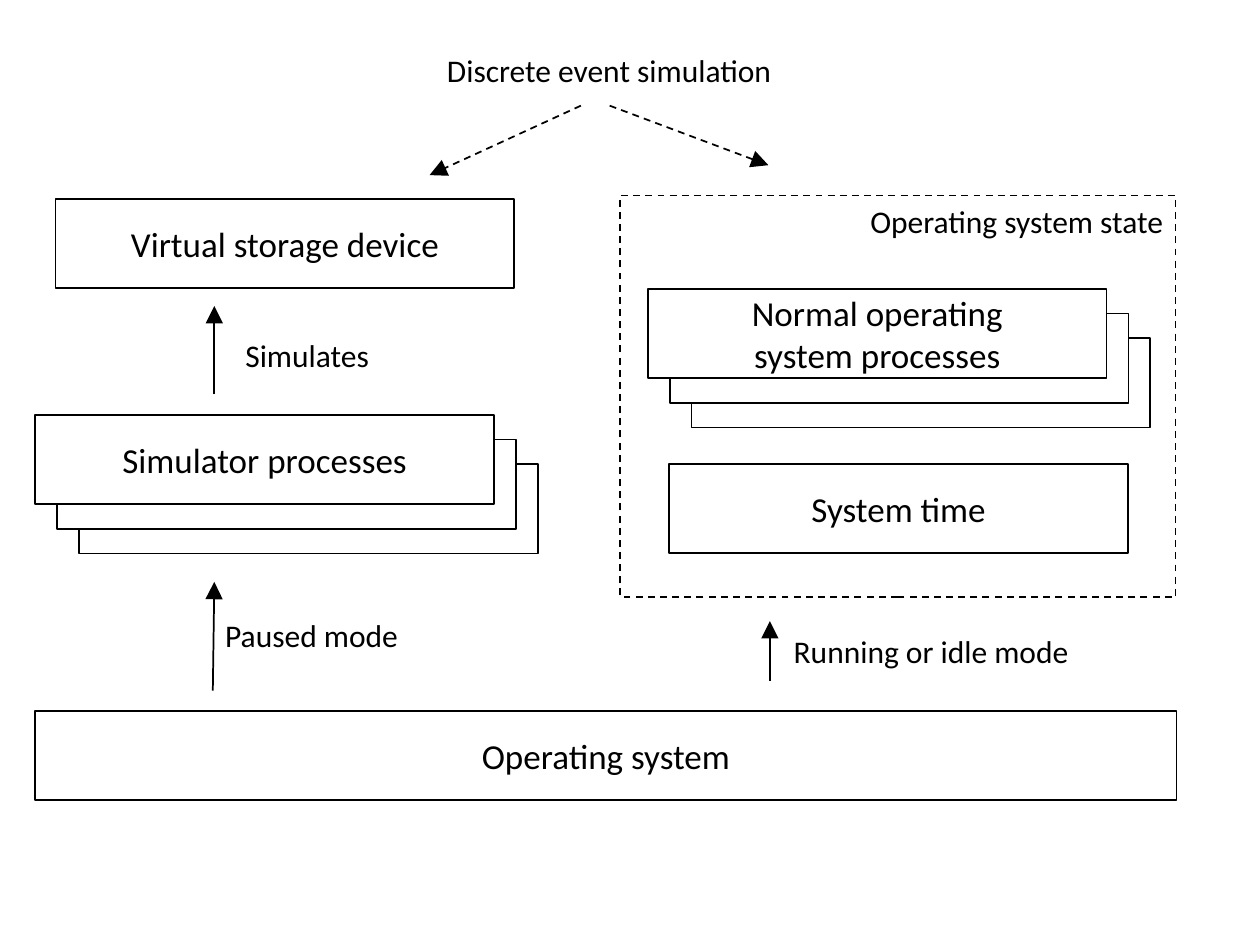
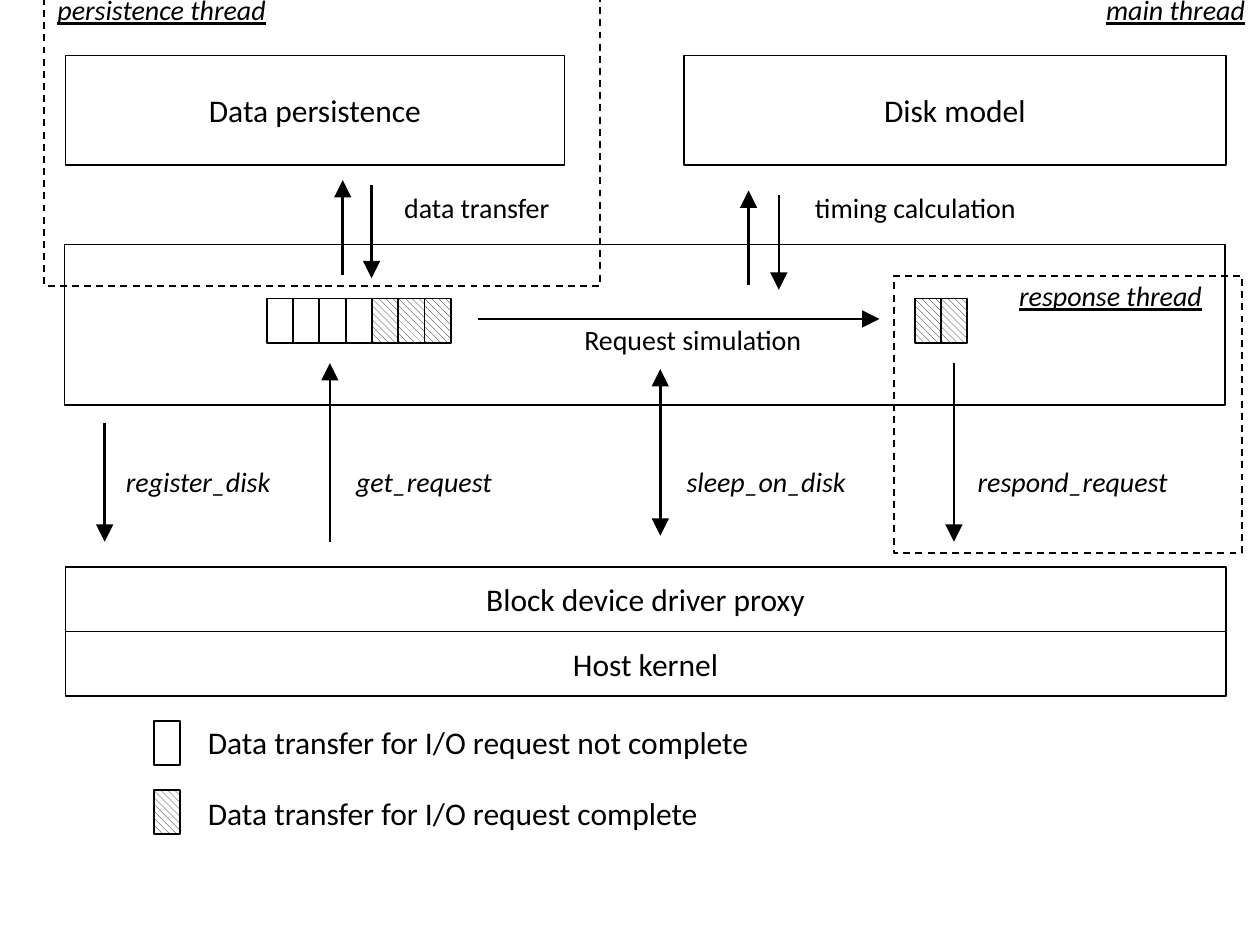
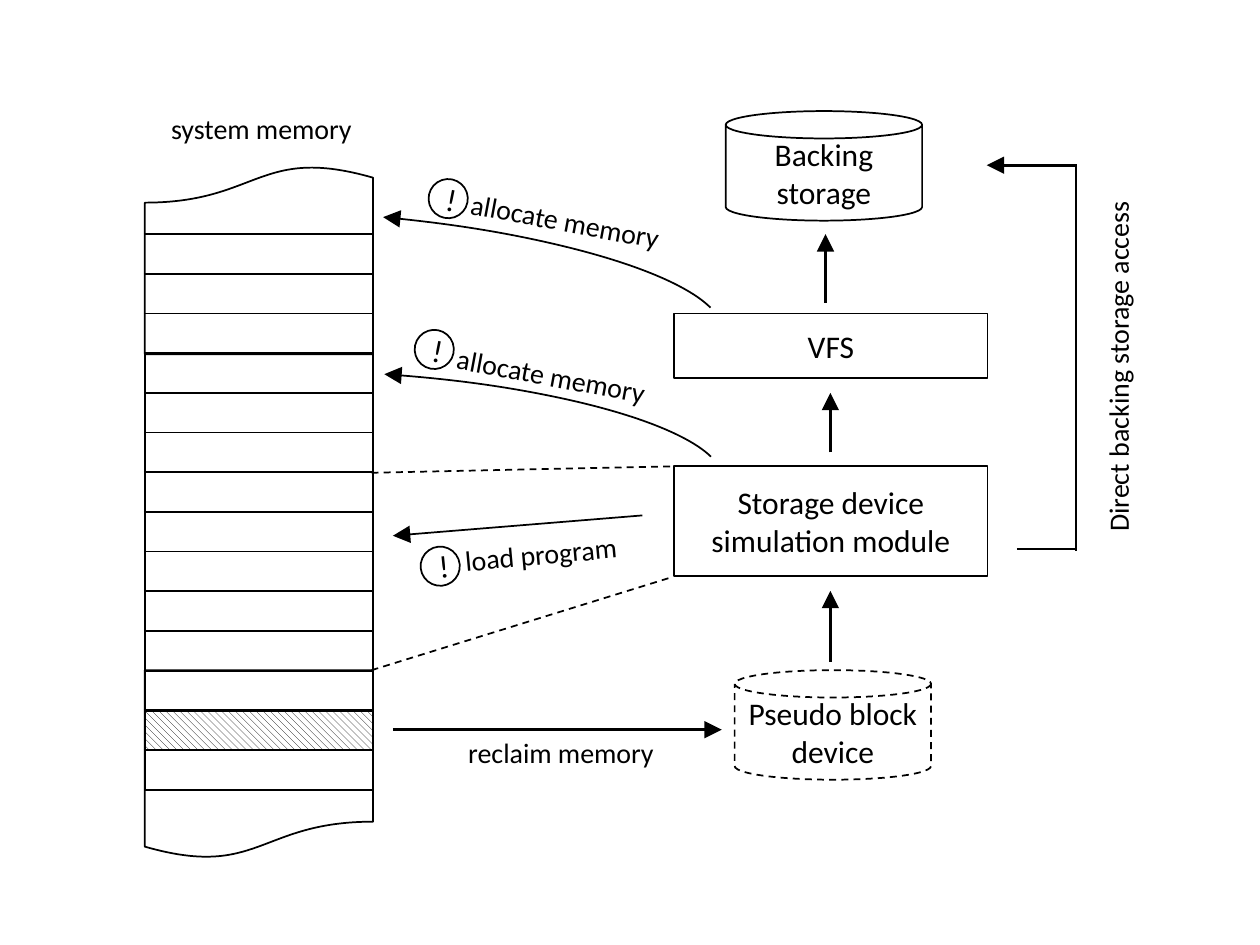
from lxml import etree
from pptx import Presentation
from pptx import util as u
from pptx.dml.color import RGBColor
from pptx.enum import dml, shapes, text
from pptx.oxml import ns

BLACK = RGBColor(0, 0, 0)
WHITE = RGBColor(255, 255, 255)
FONT = "Calibri"
RECT = shapes.MSO_SHAPE.RECTANGLE
CAN = shapes.MSO_SHAPE.CAN
WAVY_PAGE = shapes.MSO_SHAPE.FLOWCHART_DOCUMENT
LEFT, CENTER, RIGHT = text.PP_ALIGN.LEFT, text.PP_ALIGN.CENTER, text.PP_ALIGN.RIGHT


def stroke(item, weight=1, dashed=False, ends=()):
    item.line.color.rgb = BLACK
    item.line.width = u.Pt(weight)
    if dashed:
        item.line.dash_style = dml.MSO_LINE.DASH
    properties = item.element.spPr
    for end in ends:
        etree.SubElement(properties.find(ns.qn("a:ln")), ns.qn(f"a:{end}End"),
                         type="triangle", w="lg", len="lg")
    etree.SubElement(properties, ns.qn("a:effectLst"))


def write(slide, words, box, preset=None, size=18, align=LEFT, italic=False, underline=False,
          wrap=False, fill=None, dashed=False, rotation=0, ends=()):
    place = [u.Cm(length) for length in box]
    if preset is None:
        item = slide.shapes.add_textbox(*place)
    else:
        item = slide.shapes.add_shape(preset, *place)
        stroke(item, dashed=dashed, ends=ends)
        if fill == "hatch":
            item.fill.patterned()
            item.fill.pattern = dml.MSO_PATTERN.WIDE_DOWNWARD_DIAGONAL
            item.fill.fore_color.rgb = BLACK
            item.fill.back_color.rgb = WHITE
        elif fill is not None:
            item.fill.solid()
            item.fill.fore_color.rgb = fill
        else:
            item.fill.background()
        align, wrap = CENTER, True
        item.text_frame.vertical_anchor = text.MSO_ANCHOR.MIDDLE
    item.rotation = rotation
    item.text_frame.word_wrap = wrap
    if words:
        paragraph = item.text_frame.paragraphs[0]
        paragraph.text = words
        paragraph.alignment = align
        for run in paragraph.runs:
            run.font.name = FONT
            run.font.size = u.Pt(size)
            run.font.color.rgb = BLACK
            run.font.italic = italic or None
            run.font.underline = underline or None
    return item


deck = Presentation()
deck.slide_width, deck.slide_height = u.Cm(25.4), u.Cm(19.05)
blank = deck.slide_layouts[6]
STRAIGHT = shapes.MSO_CONNECTOR.STRAIGHT

overview = deck.slides.add_slide(blank)
BOX_W, BOX_H = 9.25, 1.8

write(overview, "System time", (13.49, 9.35, BOX_W, BOX_H), RECT, size=20)
for words, left, top in [("Normal operating\vsystem processes", 13.06, 5.82),
                         ("Simulator processes", 0.71, 8.36)]:
    for depth in (2, 1, 0):
        write(overview, "" if depth else words,
              (left + 0.44 * depth, top + 0.5 * depth, BOX_W, BOX_H), RECT, size=20, fill=WHITE)
write(overview, "Virtual storage device", (1.12, 4.01, BOX_W, BOX_H), RECT, size=20, fill=WHITE)
write(overview, "Operating system", (0.71, 14.33, 23.01, BOX_H), RECT, size=20)
write(overview, "", (12.5, 3.94, 11.2, 8.1), RECT, dashed=True)

for words, left, top, width, align in [
    ("Operating system state", 17.22, 3.94, 6.48, RIGHT),
    ("Running or idle mode", 15.75, 12.62, 6.15, LEFT),
    ("Paused mode", 4.29, 12.29, 4.04, LEFT),
    ("Discrete event simulation", 8.66, 0.91, 7.14, RIGHT),
    ("Simulates", 4.67, 6.65, 3.02, RIGHT),
]:
    write(overview, words, (left, top, width, 1.02), align=align)

for route, dashed in [
    ((15.52, 13.72, 15.52, 12.52), False),
    ((4.32, 7.95, 4.32, 6.17), False),
    ((4.29, 13.92, 4.32, 11.73), False),
    ((11.71, 2.13, 8.66, 3.53), True),
    ((12.29, 2.13, 15.49, 3.33), True),
]:
    arrow = overview.shapes.add_connector(STRAIGHT, *[u.Cm(point) for point in route])
    stroke(arrow, dashed=dashed, ends=["tail"])

threads = deck.slides.add_slide(blank)
CELL_W, CELL_H = 0.53, 0.89

for words, box in [
    ("", (1.3, 4.93, 23.39, 3.23)),
    ("Block device driver proxy", (1.32, 11.43, 23.39, 1.3)),
    ("Host kernel", (1.32, 12.73, 23.39, 1.3)),
    ("Disk model", (13.79, 1.12, 10.92, 2.21)),
    ("Data persistence", (1.32, 1.12, 10.06, 2.21)),
]:
    write(threads, words, box, RECT)

for left, top, pending, complete in [(5.38, 6.02, 4, 3), (18.44, 6.02, 0, 2),
                                     (3.1, 14.53, 1, 0), (3.1, 15.93, 0, 1)]:
    for index in range(pending + complete):
        write(threads, "", (left + CELL_W * index, top, CELL_W, CELL_H), RECT,
              fill="hatch" if index >= pending else None)

for route, ends in [
    ((2.11, 8.53, 2.11, 10.92), ["tail"]),
    ((6.65, 10.92, 6.65, 7.32), ["tail"]),
    ((6.91, 5.54, 6.91, 3.63), ["tail"]),
    ((7.49, 3.73, 7.49, 5.61), ["tail"]),
    ((19.23, 7.32, 19.23, 10.92), ["tail"]),
    ((9.63, 6.43, 17.73, 6.43), ["tail"]),
    ((15.09, 5.74, 15.09, 3.84), ["tail"]),
    ((15.7, 3.94, 15.7, 5.84), ["tail"]),
    ((13.31, 10.8, 13.31, 7.44), ["head", "tail"]),
]:
    arrow = threads.shapes.add_connector(STRAIGHT, *[u.Cm(point) for point in route])
    stroke(arrow, weight=1.5, ends=ends)

write(threads, "Request simulation", (11.53, 6.38, 5.56, 0.94), size=16, wrap=True)
for words, left, width in [("register_disk", 2.29, 3.48), ("get_request", 6.93, 3.28),
                           ("sleep_on_disk", 13.59, 3.76), ("respond_request", 19.46, 4.39)]:
    write(threads, words, (left, 9.25, width, 0.94), size=16, italic=True)
for words, left, width in [("timing calculation", 16.18, 4.6), ("data transfer", 7.9, 3.48)]:
    write(threads, words, (left, 3.71, width, 0.94), size=16)
for words, top, width in [("Data transfer for I/O request not complete", 14.45, 11.53),
                          ("Data transfer for I/O request complete", 15.88, 10.52)]:
    write(threads, words, (3.94, top, width, 1.02))

for box in [(18.03, 5.56, 7.01, 5.59), (0.89, -0.28, 11.2, 6.05)]:
    write(threads, "", box, RECT, dashed=True)
for words, left, top, width, align in [
    ("persistence thread", 0.91, -0.28, 4.78, LEFT),
    ("response thread", 20.14, 5.49, 4.34, RIGHT),
    ("main thread", 22.05, -0.28, 3.35, LEFT),
]:
    write(threads, words, (left, top, width, 0.94), size=16, align=align,
          italic=True, underline=True)

memory = deck.slides.add_slide(blank)
MEMORY_LEFT, MEMORY_W, ROW_H = 2.92, 4.6, 0.8

for words, box, preset, fill, dashed in [
    ("Pseudo block device", (14.81, 13.51, 3.96, 2.21), CAN, WHITE, True),
    ("Storage device simulation module", (13.59, 9.4, 6.32, 2.21), RECT, None, False),
    ("Backing storage", (14.63, 2.24, 3.96, 2.21), CAN, WHITE, False),
    ("VFS", (13.59, 6.32, 6.32, 1.3), RECT, None, False),
]:
    write(memory, words, box, preset, fill=fill, dashed=dashed)

for preset, top, height, fill, rotation in [
    (WAVY_PAGE, 3.33, 3.81, None, 180),
    (RECT, 7.14, 8.79, None, 0),
    (RECT, 14.33, 0.79, "hatch", 0),
    (WAVY_PAGE, 13.51, 3.81, None, 0),
]:
    write(memory, "", (MEMORY_LEFT, top, MEMORY_W, height), preset, fill=fill, rotation=rotation)
for row in range(14):
    level = u.Cm(4.72 + ROW_H * row)
    stroke(memory.shapes.add_connector(STRAIGHT, u.Cm(2.9), level, u.Cm(7.49), level))

for box, rotation in [((0.69, 7.54, 13.89, 3.33), 3.9), ((0.56, 4.37, 14.02, 3.33), 5.3)]:
    allocation = write(memory, "", box, shapes.MSO_SHAPE.ARC, rotation=rotation, ends=["head"])
    allocation.adjustments[0] = 162
    allocation.adjustments[1] = 213.67

for route, weight, dashed, ends in [
    ((7.49, 9.53, 13.59, 9.4), 1, True, []),
    ((7.49, 13.51, 13.56, 11.63), 1, True, []),
    ((12.95, 10.39, 7.92, 10.8), 1, False, ["tail"]),
    ((16.74, 13.34, 16.74, 11.91), 1.5, False, ["tail"]),
    ((16.74, 9.12, 16.74, 7.92), 1.5, False, ["tail"]),
    ((16.64, 6.1, 16.64, 4.72), 1.5, False, ["tail"]),
    ((7.92, 14.71, 14.55, 14.71), 1.5, False, ["tail"]),
    ((21.69, 3.33, 19.89, 3.33), 1.5, False, ["tail"]),
    ((21.69, 11.1, 21.69, 3.3), 1.5, False, []),
    ((20.5, 11.07, 21.69, 11.07), 1.5, False, []),
]:
    link = memory.shapes.add_connector(STRAIGHT, *[u.Cm(point) for point in route])
    stroke(link, weight=weight, dashed=dashed, ends=ends)

for words, left, top, width, rotation in [
    ("system memory", 3.2, 2.13, 4.22, 0),
    ("reclaim memory", 9.19, 14.71, 4.29, 0),
    ("allocate memory", 8.94, 7.11, 4.39, 10.7),
    ("allocate memory", 9.22, 3.99, 4.39, 10.7),
    ("load program", 9.12, 10.69, 3.68, 354.7),
    ("Direct backing storage access", 18.92, 6.88, 7.24, 270),
]:
    write(memory, words, (left, top, width, 0.94), size=16, rotation=rotation)

for left, top, rotation in [(8.64, 3.61, 11.5), (8.36, 6.65, 11.4), (8.48, 11.02, 354.2)]:
    write(memory, "!", (left, top, 0.79, 0.79), shapes.MSO_SHAPE.OVAL, rotation=rotation)

deck.save("out.pptx")
